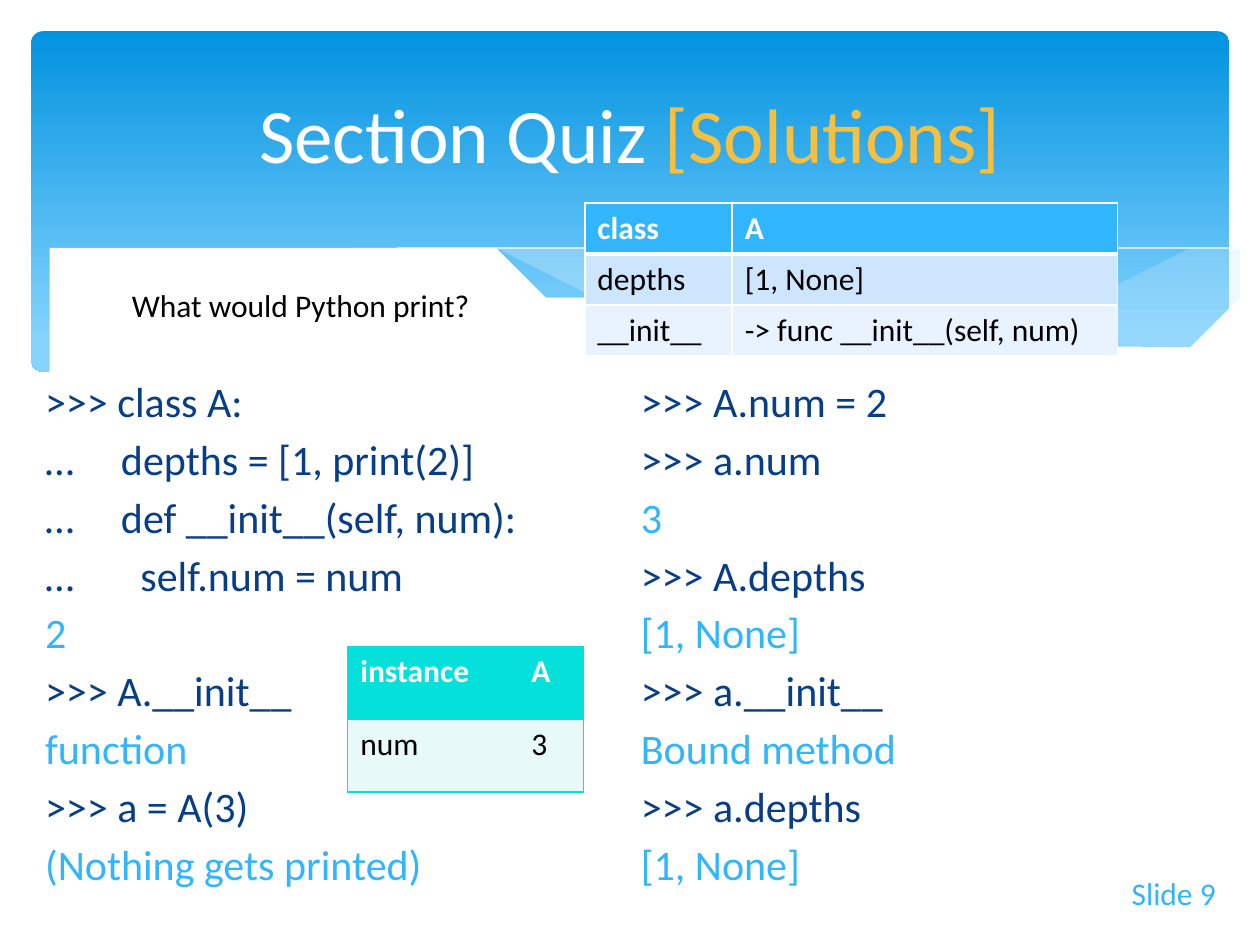
from lxml.etree import SubElement
from pptx import Presentation
from pptx.dml.color import RGBColor
from pptx.enum.shapes import MSO_SHAPE
from pptx.enum.text import MSO_ANCHOR, PP_ALIGN
from pptx.oxml.ns import qn
from pptx.util import Cm, Pt

COLORS = {
    "white": "FFFFFF", "black": "000000", "gold": "F5C040",
    "navy": "073E87", "sky": "31B6FD", "mist": "C6E7FC",
    "banner_top": "0293E0", "banner_bottom": "83D3FE",
    "class_band": "CEE5FE", "class_pale": "E8F3FF",
    "teal": "05E0DB", "teal_pale": "E7F9F8",
}
NO_STYLE = "{2D5ABB26-0587-4C30-8999-92F81FD0307C}"

RIGHT_WAVE = [
    (24.79, 5.08), (23.75, 5.26), (21.87, 5.66), (19.79, 6.15), (17.93, 6.53),
    (16.79, 6.73), (17.91, 6.88), (19.23, 7.01), (20.4, 7.06), (21.69, 7.01),
    (22.78, 6.86), (23.75, 6.65), (24.79, 6.27)]
MIDDLE_WAVE = [
    (22.68, 6.93), (21.26, 6.73), (19.69, 6.45), (17.93, 6.1), (15.98, 5.64),
    (14.45, 5.28), (13.06, 5.03), (11.81, 4.85), (10.67, 4.75), (9.17, 4.7),
    (7.95, 4.78), (7.26, 4.85), (8.69, 5.05), (10.26, 5.36), (12.47, 5.89),
    (14.38, 6.3), (16.1, 6.63), (17.65, 6.86), (19, 7.01), (20.5, 7.06),
    (21.77, 7.04)]
FALLING_LINE = [
    (7.85, 4.95), (8.74, 4.83), (9.83, 4.75), (11, 4.75), (12.42, 4.83),
    (14.12, 5), (15.44, 5.18), (16.89, 5.41), (18.47, 5.74), (20.19, 6.12),
    (22.07, 6.63), (23.04, 6.91)]
RISING_LINE = [
    (15.57, 6.53), (17.65, 5.97), (19.71, 5.49), (21.23, 5.18), (22.73, 4.93),
    (23.83, 4.78), (24.77, 4.7)]
WHITE_WAVE = [
    (24.82, 6.25), (23.88, 6.58), (22.83, 6.83), (21.59, 6.99), (20.55, 7.04),
    (19.33, 6.99), (17.98, 6.86), (16.46, 6.65), (14.71, 6.35), (12.78, 5.92),
    (11.35, 5.59), (9.93, 5.26), (8.64, 5), (7.42, 4.83), (6.35, 4.72),
    (4.9, 4.67), (3.71, 4.7), (2.69, 4.8), (1.93, 4.95), (1.17, 5.16),
    (0.58, 5.41), (0.58, 8.36), (24.82, 8.36)]

CLASS_SESSION = [
    (">>> class A:", "navy"),
    ("…\tdepths = [1, print(2)]", "navy"),
    ("…\tdef __init__(self, num):", "navy"),
    ("…\t\tself.num = num", "navy"),
    ("2", "sky"),
    (">>> A.__init__", "navy"),
    ("function", "sky"),
    (">>> a = A(3)", "navy"),
    ("(Nothing gets printed)", "sky")]
INSTANCE_SESSION = [
    (">>> A.num = 2", "navy"),
    (">>> a.num", "navy"),
    ("3", "sky"),
    (">>> A.depths", "navy"),
    ("[1, None]", "sky"),
    (">>> a.__init__", "navy"),
    ("Bound method", "sky"),
    (">>> a.depths", "navy"),
    ("[1, None]", "sky")]


def rgb(name):
    return RGBColor.from_string(COLORS[name])


class QuizSlide:
    """Draws the quiz elements on one slide in a shared style."""

    font = "Calibri"
    code_stops = (1.53, 1.92)

    def __init__(self, deck):
        self.slide = deck.slides.add_slide(deck.slide_layouts[5])
        self.shapes = self.slide.shapes

    def style(self, paragraph, size, *colors, bold=False):
        for run, color in zip(paragraph.runs, colors):
            run.font.name, run.font.size, run.font.bold = self.font, Pt(size), bold
            run.font.color.rgb = rgb(color)

    def banner(self, left, top, width, height):
        banner = self.shapes.add_shape(
            MSO_SHAPE.ROUNDED_RECTANGLE, Cm(left), Cm(top), Cm(width), Cm(height))
        banner.adjustments[0] = 0.034
        banner.shadow.inherit = False
        banner.line.fill.background()
        banner.fill.gradient()
        banner.fill.gradient_angle = 270
        stops = banner.fill.gradient_stops
        for stop, position, color in zip(stops, (0, 0.9), ("banner_top", "banner_bottom")):
            stop.position = position
            stop.color.rgb = rgb(color)

    def curve(self, points, fill=None, opacity=100):
        builder = self.shapes.build_freeform(*points[0], scale=Cm(1))
        builder.add_line_segments(points[1:], close=fill is not None)
        curve = builder.convert_to_shape()
        curve.shadow.inherit = False
        if fill is None:
            curve.fill.background()
            curve.line.color.rgb = rgb("white")
            curve.line.width = Pt(0)
            return
        curve.line.fill.background()
        curve.fill.solid()
        curve.fill.fore_color.rgb = rgb(fill)
        if opacity < 100:
            tone = curve._element.spPr.find(qn("a:solidFill"))[0]
            SubElement(tone, qn("a:alpha"), val=str(opacity * 1000))

    def title(self, text, accent, left, top, width, height):
        title = self.shapes.title
        self.shapes._spTree.append(title._element)
        title.left, title.top, title.width, title.height = map(
            Cm, (left, top, width, height))
        title.text_frame.vertical_anchor = MSO_ANCHOR.MIDDLE
        heading = title.text_frame.paragraphs[0]
        heading.text = text
        heading.add_run().text = accent
        heading.alignment = PP_ALIGN.CENTER
        self.style(heading, 44, "white", "gold")

    def text(self, lines, left, top, width, height, size=18, spacing=0,
             align=PP_ALIGN.LEFT):
        frame = self.shapes.add_textbox(
            Cm(left), Cm(top), Cm(width), Cm(height)).text_frame
        frame.word_wrap = True
        frame.text = "\n".join(line for line, color in lines)
        for paragraph, (line, color) in zip(frame.paragraphs, lines):
            paragraph.alignment = align
            paragraph.space_before = Pt(spacing)
            self.style(paragraph, size, color)
            if "\t" in line:
                stops = SubElement(paragraph._p.get_or_add_pPr(), qn("a:tabLst"))
                for stop in self.code_stops:
                    SubElement(stops, qn("a:tab"), pos=str(Cm(stop)), algn="l")

    def border(self, cell, side, color, width):
        edge = SubElement(cell._tc.get_or_add_tcPr(), qn("a:ln" + side),
                          w=str(Pt(width)))
        paint = SubElement(edge, qn("a:solidFill"))
        SubElement(paint, qn("a:srgbClr"), val=COLORS[color])

    def table(self, rows, left, top, widths, row_height, fills, edge, inner):
        table = self.shapes.add_table(
            len(rows), len(widths), Cm(left), Cm(top), Cm(sum(widths)),
            Cm(row_height * len(rows))).table
        table._tbl.tblPr.find(qn("a:tableStyleId")).text = NO_STYLE
        for column, width in zip(table.columns, widths):
            column.width = Cm(width)
        last = len(widths) - 1
        for r, (entries, fill) in enumerate(zip(rows, fills)):
            table.rows[r].height = Cm(row_height)
            for c, entry in enumerate(entries):
                cell = table.cell(r, c)
                cell.text_frame.text = entry
                self.style(cell.text_frame.paragraphs[0], 18,
                           "black" if r else "white", bold=r == 0)
                if inner or c == 0:
                    self.border(cell, "L", edge, 1)
                if inner or c == last:
                    self.border(cell, "R", edge, 1)
                self.border(cell, "T", edge, 3 if inner and r == 1 else 1)
                self.border(cell, "B", edge, 3 if inner and r == 0 else 1)
                cell.fill.solid()
                cell.fill.fore_color.rgb = rgb(fill)


deck = Presentation()
deck.slide_width, deck.slide_height = Cm(25.4), Cm(19.05)
quiz = QuizSlide(deck)

quiz.banner(0.63, 0.63, 24.15, 6.86)
quiz.curve(RIGHT_WAVE, "mist", 29)
quiz.curve(MIDDLE_WAVE, "mist", 40)
quiz.curve(FALLING_LINE)
quiz.curve(RISING_LINE)
quiz.curve(WHITE_WAVE, "white")

quiz.title("Section Quiz ", "[Solutions]", 1.27, 0.94, 22.86, 3.48)
quiz.text([("Slide 9", "sky")], 20.8, 17.5, 3.96, 1.02, align=PP_ALIGN.RIGHT)
quiz.text(CLASS_SESSION, 0.66, 7.44, 12.01, 10.74, size=24, spacing=4.3)
quiz.table([("class", "A"), ("depths", "[1, None]"),
            ("__init__", "-> func __init__(self, num)")],
           11.79, 4.09, (2.97, 7.77), 1.03,
           ("sky", "class_band", "class_pale"), "white", inner=True)
quiz.table([("instance", "A"), ("num", "3")],
           7.01, 13.03, (3.45, 1.3), 1.47,
           ("teal", "teal_pale"), "teal", inner=False)
quiz.text([("What would Python print?", "black")], 2.41, 5.64, 13.11, 1.02)
quiz.text(INSTANCE_SESSION, 12.67, 7.44, 12.01, 10.74, size=24, spacing=4.3)

deck.save("out.pptx")
